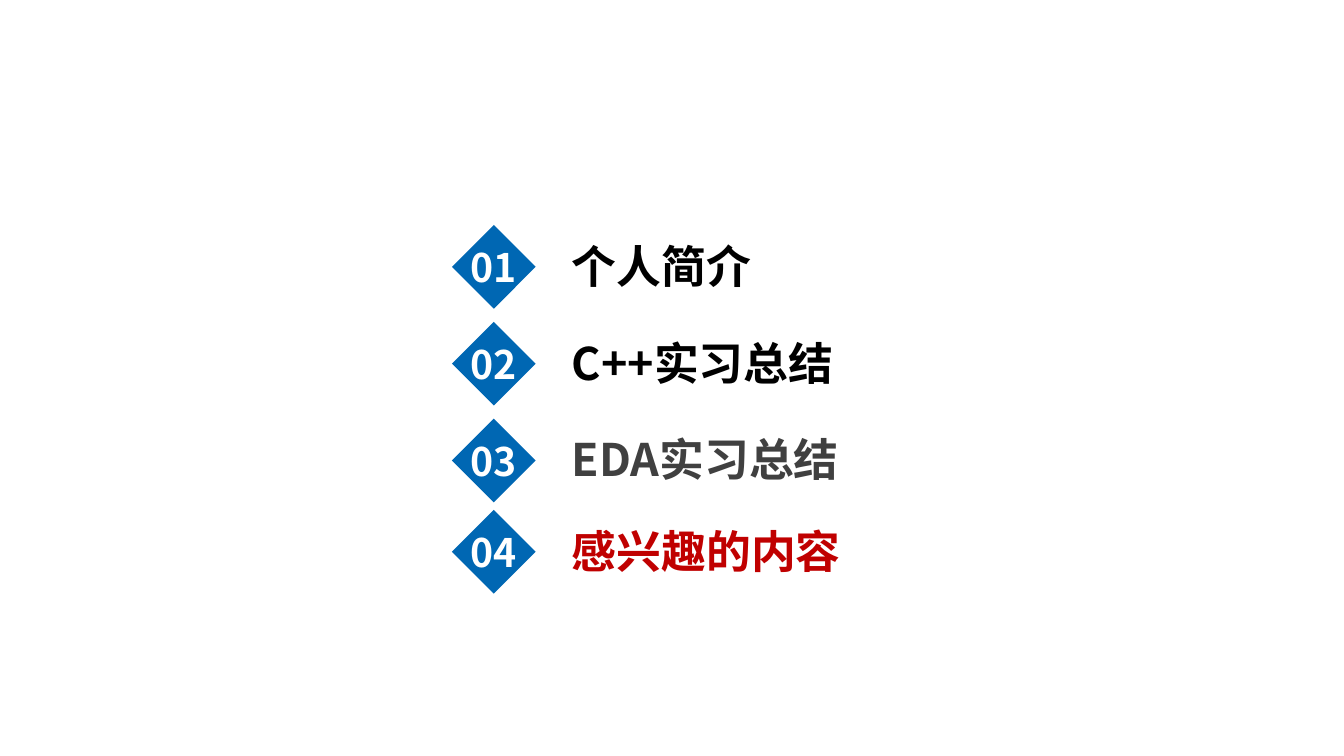
from lxml.etree import SubElement
from pptx import Presentation
from pptx.dml.color import RGBColor
from pptx.enum.shapes import MSO_SHAPE
from pptx.enum.text import MSO_ANCHOR, MSO_AUTO_SIZE, PP_ALIGN
from pptx.oxml.ns import qn
from pptx.util import Cm, Pt

FONT = "Noto Sans CJK SC"
BLUE = RGBColor(0x00, 0x67, 0xB3)
WHITE = RGBColor(0xFF, 0xFF, 0xFF)
BLACK = RGBColor(0x00, 0x00, 0x00)
GRAY = RGBColor(0x40, 0x40, 0x40)
RED = RGBColor(0xC0, 0x00, 0x00)

AGENDA = [
    ("个人简介", BLACK, 5.67),
    ("C++实习总结", BLACK, 8.11),
    ("EDA实习总结", GRAY, 10.55),
    ("感兴趣的内容", RED, 12.85),
]
DIAMOND_LEFT, DIAMOND_SIZE = 11.39, 2.11
LABEL_LEFT, LABEL_WIDTH, LABEL_HEIGHT = 14.16, 9.58, 1.63
LABEL_DROP = 0.34


def write(tf, text, size, color, align):
    tf.margin_top = tf.margin_bottom = 0
    p = tf.paragraphs[0]
    p.text = text
    p.alignment = align
    p.font.size = Pt(size)
    p.font.bold = True
    p.font.color.rgb = color
    p.font.name = FONT
    SubElement(p._p.pPr.find(qn("a:defRPr")), qn("a:ea"), typeface=FONT)


def add_diamond(s, number, top):
    sp = s.shapes.add_shape(MSO_SHAPE.DIAMOND, Cm(DIAMOND_LEFT), Cm(top),
                            Cm(DIAMOND_SIZE), Cm(DIAMOND_SIZE))
    sp.shadow.inherit = False
    sp.fill.solid()
    sp.fill.fore_color.rgb = BLUE
    sp.line.fill.background()
    tf = sp.text_frame
    tf.word_wrap = False
    tf.vertical_anchor = MSO_ANCHOR.MIDDLE
    tf.margin_left = tf.margin_right = 0
    write(tf, f"{number:02d}", 28, WHITE, PP_ALIGN.CENTER)


def add_label(s, text, color, top):
    sp = s.shapes.add_textbox(Cm(LABEL_LEFT), Cm(top + LABEL_DROP),
                              Cm(LABEL_WIDTH), Cm(LABEL_HEIGHT))
    tf = sp.text_frame
    tf.word_wrap = True
    tf.auto_size = MSO_AUTO_SIZE.SHAPE_TO_FIT_TEXT
    write(tf, text, 32, color, PP_ALIGN.LEFT)


def main():
    prs = Presentation()
    prs.slide_width, prs.slide_height = Cm(33.87), Cm(19.05)
    s = prs.slides.add_slide(prs.slide_layouts[6])
    for number, (text, color, top) in enumerate(AGENDA, 1):
        add_diamond(s, number, top)
        add_label(s, text, color, top)
    prs.save("out.pptx")


if __name__ == "__main__":
    main()
